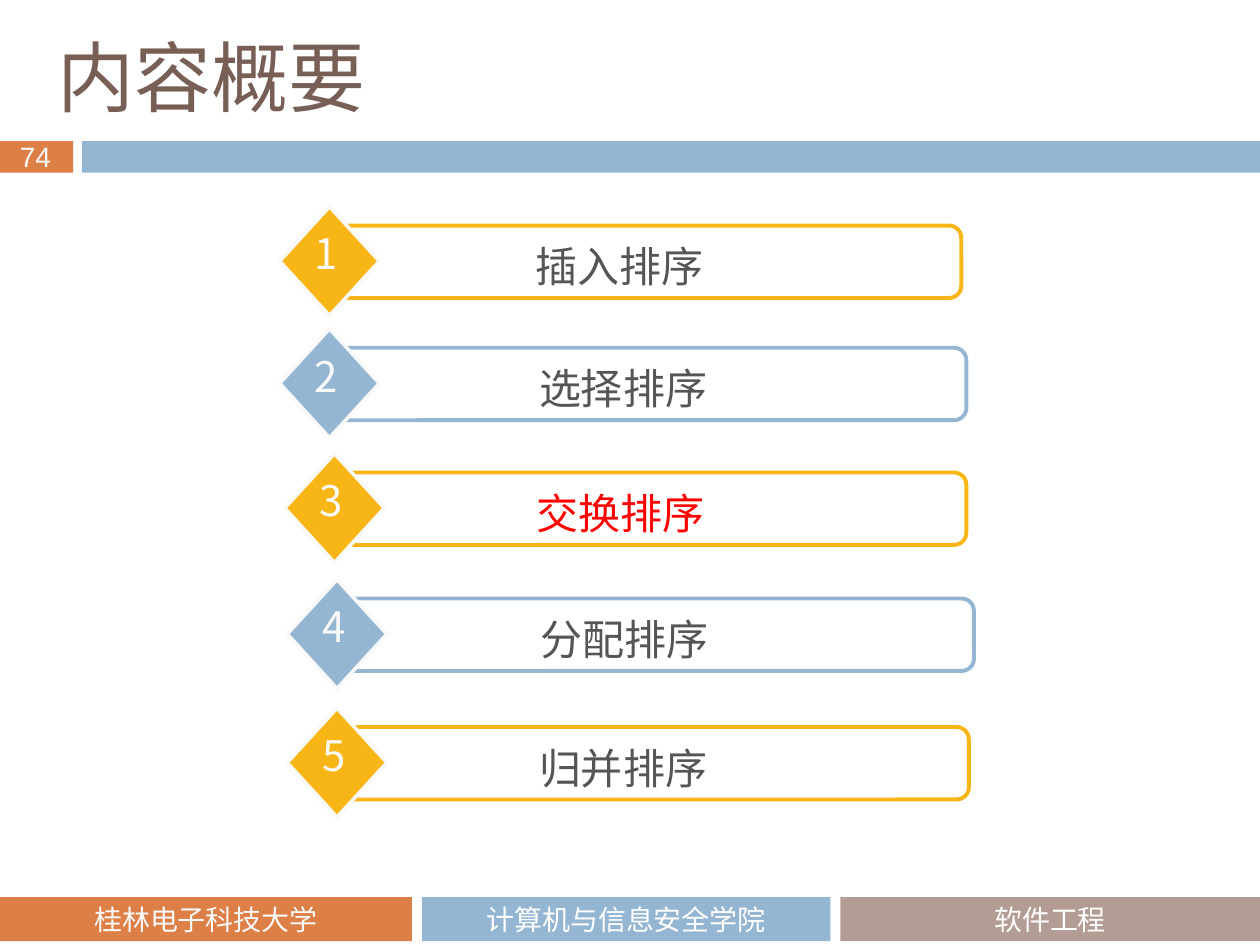
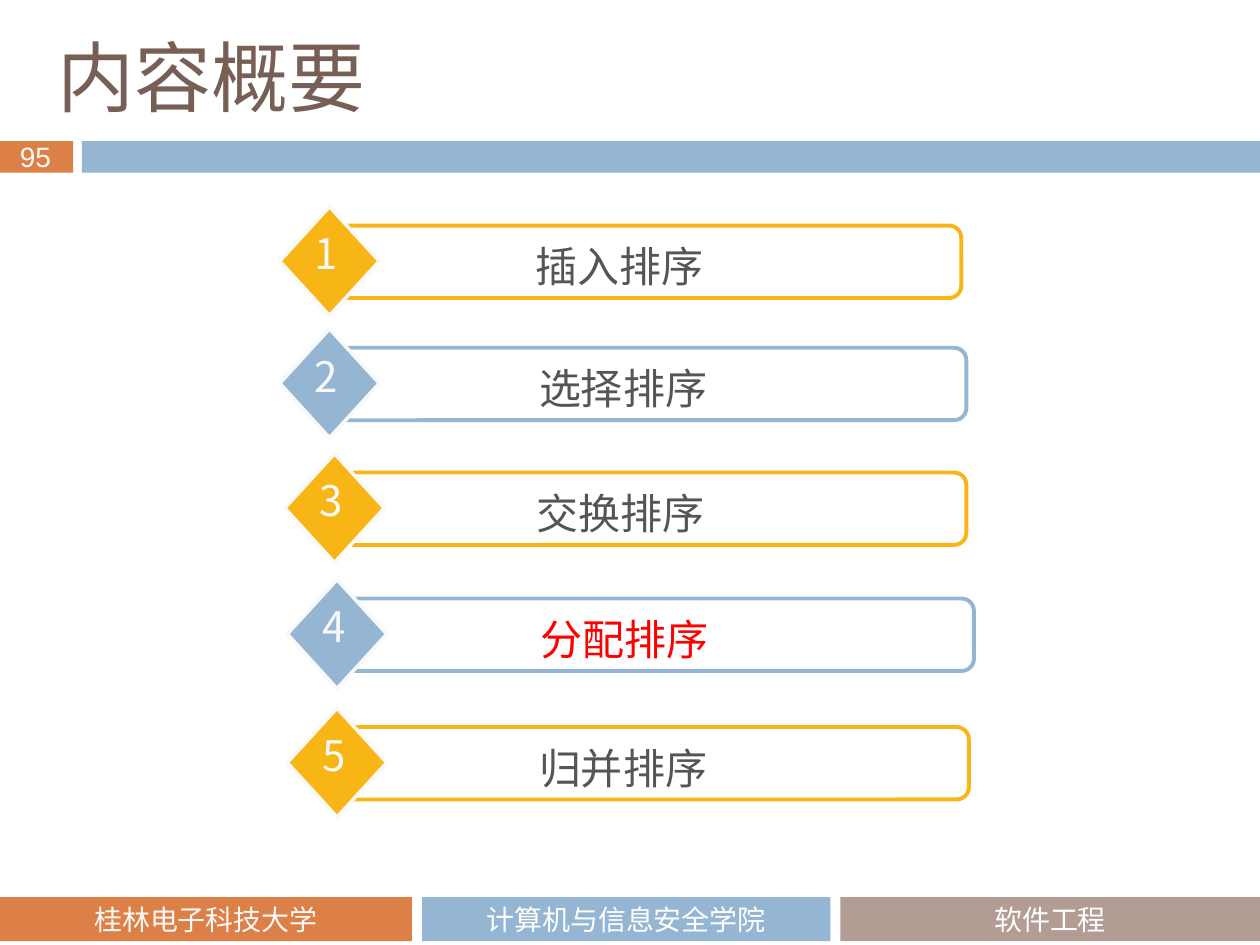
from dataclasses import dataclass

from lxml.etree import SubElement
from pptx import Presentation
from pptx.dml.color import RGBColor
from pptx.enum.shapes import MSO_SHAPE
from pptx.enum.text import MSO_ANCHOR, MSO_AUTO_SIZE, PP_ALIGN
from pptx.oxml.ns import qn
from pptx.util import Inches, Pt


@dataclass(frozen=True)
class Theme:
    orange: str = "DD8047"
    blue: str = "94B6D2"
    taupe: str = "B29C93"
    gold: str = "F7B615"
    brown: str = "775F55"
    grey: str = "555555"
    red: str = "FF0000"
    off_white: str = "F9F9F9"
    white: str = "FFFFFF"
    title_font: str = "Noto Sans CJK JP"
    topic_font: str = "Noto Sans CJK SC"
    footer_font: str = "Cabin"
    number_font: str = "Arial"
    title_size: int = 44
    topic_size: int = 24
    small_size: int = 16
    bar_line: float = 2.25
    diamond_line: float = 2


THEME = Theme()
COLUMNS, ROWS = 100, 75
CELL = Inches(0.1)

TITLE = "内容概要"
# Topic, diamond column, diamond row, label column
TOPICS = [
    ("插入排序", 22.2, 16.4, 29.5),
    ("选择排序", 22.2, 26.1, 29.8),
    ("交换排序", 22.6, 36, 29.6),
    ("分配排序", 22.8, 46, 29.9),
    ("归并排序", 22.8, 56.2, 29.8),
]
# Text, column, width, fill, text colour
FOOTERS = [
    ("桂林电子科技大学", 0, 32.7, THEME.orange, THEME.off_white),
    ("计算机与信息安全学院", 33.5, 32.4, THEME.blue, THEME.white),
    ("软件工程", 66.7, 33.3, THEME.taupe, THEME.white),
]
# Page number, highlighted topic
PAGES = [(74, "交换排序"), (95, "分配排序")]


def cells(*counts):
    return [round(count * CELL) for count in counts]


def add_box(slide, kind, area, fill=None, line=None, line_width=0):
    box = slide.shapes.add_shape(kind, *cells(*area))
    box.shadow.inherit = False
    if fill:
        box.fill.solid()
        box.fill.fore_color.rgb = RGBColor.from_string(fill)
    else:
        box.fill.background()
    if line:
        box.line.color.rgb = RGBColor.from_string(line)
        box.line.width = Pt(line_width)
    else:
        box.line.fill.background()
    return box


def write(frame, text, font, size, color, align=PP_ALIGN.CENTER):
    paragraph = frame.paragraphs[0]
    paragraph.alignment = align
    run = paragraph.add_run()
    run.text = text
    run.font.name = font
    run.font.size = Pt(size)
    run.font.color.rgb = RGBColor.from_string(color)
    east_asian = SubElement(run.font._element, qn("a:ea"))
    east_asian.set("typeface", font)


def add_label(slide, area, text, font, size, color, wrap=True,
              align=PP_ALIGN.CENTER):
    frame = slide.shapes.add_textbox(*cells(*area)).text_frame
    frame.word_wrap = wrap
    write(frame, text, font, size, color, align)


def add_title(slide):
    title = slide.shapes.title
    title.left, title.top, title.width, title.height = cells(3.6, 2.7, 56.7, 6.6)
    frame = title.text_frame
    frame.auto_size = MSO_AUTO_SIZE.NONE
    frame.vertical_anchor = MSO_ANCHOR.MIDDLE
    write(frame, TITLE, THEME.title_font, THEME.title_size, THEME.brown,
          PP_ALIGN.LEFT)


def add_header_band(slide, page_number):
    top, height, band_left = 11.2, 2.5, 6.5
    add_box(slide, MSO_SHAPE.RECTANGLE, (0, top, 5.8, height), THEME.orange)
    add_box(slide, MSO_SHAPE.RECTANGLE,
            (band_left, top, COLUMNS - band_left, height), THEME.blue)
    add_label(slide, (0.6, 10.6, 4.8, 3.7), str(page_number),
              THEME.number_font, THEME.small_size, THEME.off_white,
              wrap=False, align=PP_ALIGN.LEFT)


def add_footers(slide):
    for text, column, width, fill, color in FOOTERS:
        footer = add_box(slide, MSO_SHAPE.RECTANGLE,
                         (column, ROWS - 3.8, width, 3.5), fill)
        footer.text_frame.vertical_anchor = MSO_ANCHOR.MIDDLE
        write(footer.text_frame, text, THEME.footer_font, THEME.small_size, color)


def add_topic(slide, number, topic, column, row, label_column, highlighted):
    accent = THEME.gold if number % 2 else THEME.blue
    bar_width = 49.7 if number % 2 else 50.1
    bar = add_box(slide, MSO_SHAPE.ROUNDED_RECTANGLE,
                  (column + 4.4, row + 1.5, bar_width, 5.75),
                  line=accent, line_width=THEME.bar_line)
    bar.adjustments[0] = 0.17
    add_box(slide, MSO_SHAPE.DIAMOND, (column, row, 7.9, 8.65), accent,
            THEME.off_white, THEME.diamond_line)
    add_label(slide, (label_column, row + 2.2, 39.3, 5), topic,
              THEME.topic_font, THEME.topic_size,
              THEME.red if highlighted else THEME.grey)
    add_label(slide, (column + 1.8, row + 1.2, 3.7, 5), str(number),
              THEME.topic_font, THEME.topic_size, THEME.off_white, wrap=False)


def add_outline_slide(deck, page_number, current_topic):
    title_only = deck.slide_layouts.get_by_name("Title Only")
    slide = deck.slides.add_slide(title_only)
    add_title(slide)
    add_header_band(slide, page_number)
    add_footers(slide)
    for number, (topic, *position) in enumerate(TOPICS, start=1):
        add_topic(slide, number, topic, *position,
                  highlighted=topic == current_topic)


def main():
    deck = Presentation()
    deck.slide_width, deck.slide_height = cells(COLUMNS, ROWS)
    for page_number, current_topic in PAGES:
        add_outline_slide(deck, page_number, current_topic)
    deck.save("out.pptx")


if __name__ == "__main__":
    main()
